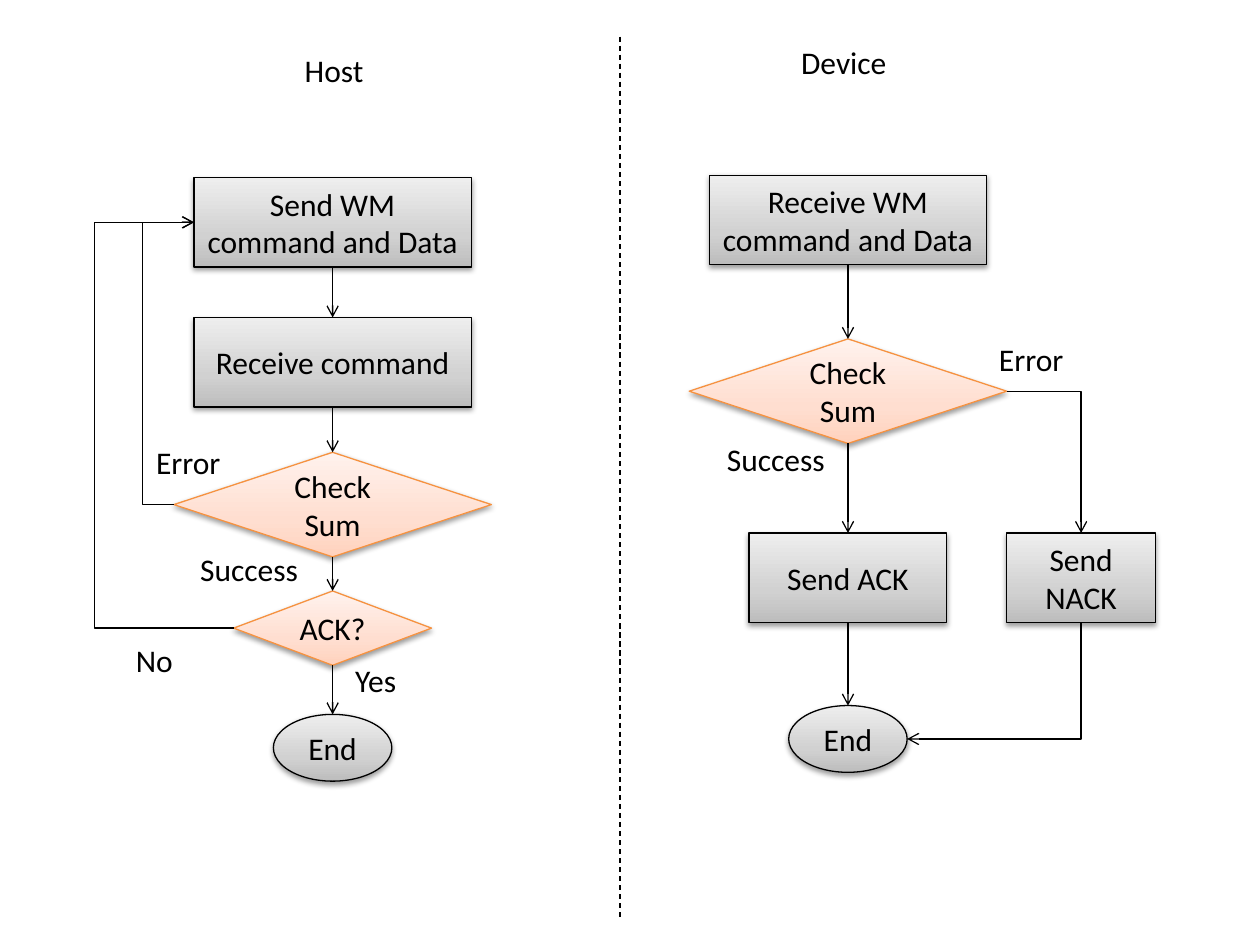
import copy
from dataclasses import dataclass

import pptx
import pptx.dml.color
import pptx.enum.dml
import pptx.enum.shapes
import pptx.enum.text
import pptx.oxml
import pptx.oxml.ns
import pptx.util
from pptx.util import Inches

RGBColor = pptx.dml.color.RGBColor
Kind = pptx.enum.shapes.MSO_SHAPE
Link = pptx.enum.shapes.MSO_CONNECTOR
qn = pptx.oxml.ns.qn

BLACK = RGBColor(0x00, 0x00, 0x00)
ORANGE = RGBColor(0xF6, 0x92, 0x40)
GRAYS = (RGBColor(0xBD, 0xBD, 0xBD), RGBColor(0xD1, 0xD1, 0xD1), RGBColor(0xEE, 0xEE, 0xEE))
PEACHES = (RGBColor(0xFF, 0xD2, 0xBD), RGBColor(0xFF, 0xDE, 0xD0), RGBColor(0xFF, 0xF2, 0xED))
STOPS = (0, 0.35, 1)
FONT = "Calibri"
TEXT_SIZE = pptx.util.Pt(18)
LINE_WIDTH = pptx.util.Pt(0.75)
HOST_X, DEVICE_X, NACK_X = 2.64, 6.73, 8.58
DIVIDER_X = 4.92

SHADOW = (
    f'<a:outerShdw {pptx.oxml.ns.nsdecls("a")} blurRad="40000" dist="20000" dir="5400000"'
    ' rotWithShape="0"><a:srgbClr val="000000"><a:alpha val="38000"/></a:srgbClr></a:outerShdw>'
)


@dataclass
class Node:
    text: str
    kind: Kind
    center: float
    top: float
    width: float
    height: float

    @property
    def left(self) -> float:
        return self.center - self.width / 2

    @property
    def right(self) -> float:
        return self.center + self.width / 2

    @property
    def middle(self) -> float:
        return self.top + self.height / 2

    @property
    def bottom(self) -> float:
        return self.top + self.height


@dataclass
class Label:
    text: str
    left: float
    top: float
    width: float


def command(text: str, center: float, top: float, width: float = 2.2) -> Node:
    return Node(text, Kind.RECTANGLE, center, top, width, 0.71)


def decision(text: str, center: float, top: float, width: float, height: float) -> Node:
    return Node(text, Kind.FLOWCHART_DECISION, center, top, width, height)


def end(center: float, top: float) -> Node:
    return Node("End", Kind.OVAL, center, top, 0.94, 0.53)


HOST_FLOW = [
    command("Send WM command and Data", HOST_X, 1.41),
    command("Receive command", HOST_X, 2.52),
    decision("Check Sum", HOST_X, 3.59, 2.52, 0.83),
    decision("ACK?", HOST_X, 4.69, 1.57, 0.59),
    end(HOST_X, 5.67),
]
DEVICE_FLOW = [
    command("Receive WM command and Data", DEVICE_X, 1.39),
    decision("Check Sum", DEVICE_X, 2.69, 2.52, 0.83),
    command("Send ACK", DEVICE_X, 4.23, 1.57),
    end(DEVICE_X, 5.6),
]
NACK = command("Send NACK", NACK_X, 4.23, 1.18)

LABELS = [
    Label("Host", 2.32, 0.36, 0.67),
    Label("Device", 6.26, 0.29, 0.89),
    Label("Success", 5.67, 3.44, 0.99),
    Label("Error", 7.83, 2.65, 0.72),
    Label("Success", 1.49, 4.32, 0.99),
    Label("Error", 1.14, 3.47, 0.72),
    Label("Yes", 2.72, 5.2, 0.53),
    Label("No", 0.98, 5.04, 0.5),
]


def write(shape, text: str) -> None:
    para = shape.text_frame.paragraphs[0]
    para.text = text
    para.font.name, para.font.size = FONT, TEXT_SIZE
    para.font.color.rgb = BLACK


def fill_gradient(shape, colors: tuple[RGBColor, ...]) -> None:
    """Fill from the bottom up with three colours."""
    shape.fill.gradient()
    shape.fill.gradient_angle = 90
    stops = shape.element.spPr.find(qn("a:gradFill")).find(qn("a:gsLst"))
    stops.insert(1, copy.deepcopy(stops[0]))
    for stop, position, color in zip(shape.fill.gradient_stops, STOPS, colors):
        stop.position = position
        stop.color.rgb = color


def draw_node(page, node: Node):
    shape = page.shapes.add_shape(
        node.kind, Inches(node.left), Inches(node.top), Inches(node.width), Inches(node.height)
    )
    is_decision = node.kind == Kind.FLOWCHART_DECISION
    fill_gradient(shape, PEACHES if is_decision else GRAYS)
    shape.line.color.rgb = ORANGE if is_decision else BLACK
    shape.line.width = LINE_WIDTH
    shape.shadow.inherit = False
    shape.element.spPr.find(qn("a:effectLst")).append(pptx.oxml.parse_xml(SHADOW))
    shape.text_frame.vertical_anchor = pptx.enum.text.MSO_ANCHOR.MIDDLE
    write(shape, node.text)
    shape.text_frame.paragraphs[0].alignment = pptx.enum.text.PP_ALIGN.CENTER
    return shape


def draw_label(page, label: Label) -> None:
    box = page.shapes.add_textbox(
        Inches(label.left), Inches(label.top), Inches(label.width), Inches(0.4)
    )
    box.text_frame.word_wrap = False
    box.text_frame.auto_size = pptx.enum.text.MSO_AUTO_SIZE.SHAPE_TO_FIT_TEXT
    write(box, label.text)


def draw_line(page, kind: Link, start: tuple[float, float], finish: tuple[float, float],
              arrow: str = ""):
    """Draw a connector; arrow is "a:headEnd", "a:tailEnd" or nothing."""
    line = page.shapes.add_connector(kind, *map(Inches, start + finish))
    line.line.color.rgb = BLACK
    line.line.width = LINE_WIDTH
    if arrow:
        pptx.oxml.xmlchemy.OxmlElement
        line.line._get_or_add_ln().append(
            pptx.oxml.parse_xml(f'<{arrow} {pptx.oxml.ns.nsdecls("a")} type="arrow"/>')
        )
    line.element.spPr.append(
        pptx.oxml.parse_xml(f'<a:effectLst {pptx.oxml.ns.nsdecls("a")}/>')
    )
    return line


def draw_corner(page, start: tuple[float, float], finish: tuple[float, float], arrow: str) -> None:
    """Run sideways from start, then turn once towards finish."""
    line = draw_line(page, Link.ELBOW, start, finish, arrow)
    line.element.spPr.find(qn("a:prstGeom")).set("prst", "bentConnector2")


def draw_loop(page, source: Node, target: Node, turn_x: float) -> None:
    """Lead from the left of source back to the left of target by way of turn_x."""
    line = draw_line(page, Link.ELBOW, (source.left, source.middle),
                     (target.left, target.middle), "a:tailEnd")
    share = (turn_x - source.left) / (target.left - source.left)
    guides = line.element.spPr.find(qn("a:prstGeom")).find(qn("a:avLst"))
    guides.append(pptx.oxml.parse_xml(
        f'<a:gd {pptx.oxml.ns.nsdecls("a")} name="adj1" fmla="val {round(share * 100000)}"/>'
    ))


def draw_flow(page, flow: list[Node]) -> None:
    """Draw the nodes of one column and the arrows down between them."""
    shapes = [draw_node(page, node) for node in flow]
    for i in range(len(flow) - 1):
        upper, lower = flow[i], flow[i + 1]
        line = draw_line(page, Link.STRAIGHT, (upper.center, upper.bottom),
                         (lower.center, lower.top), "a:tailEnd")
        line.begin_connect(shapes[i], 2)
        line.end_connect(shapes[i + 1], 0)


def main() -> None:
    deck = pptx.Presentation()
    deck.slide_width, deck.slide_height = Inches(10), Inches(7.5)
    page = deck.slides.add_slide(deck.slide_layouts[6])

    divider = draw_line(page, Link.STRAIGHT, (DIVIDER_X, 0.29), (DIVIDER_X, 7.29))
    divider.line.dash_style = pptx.enum.dml.MSO_LINE.DASH
    draw_flow(page, HOST_FLOW)
    draw_flow(page, DEVICE_FLOW)
    draw_node(page, NACK)

    send, _, host_check, acknowledged, _ = HOST_FLOW
    draw_loop(page, host_check, send, 1.13)
    draw_loop(page, acknowledged, send, 0.75)
    _, device_check, _, device_end = DEVICE_FLOW
    draw_corner(page, (device_check.right, device_check.middle), (NACK_X, NACK.top), "a:tailEnd")
    draw_corner(page, (device_end.right, device_end.middle), (NACK_X, NACK.bottom), "a:headEnd")

    for label in LABELS:
        draw_label(page, label)
    deck.save("out.pptx")


if __name__ == "__main__":
    main()
